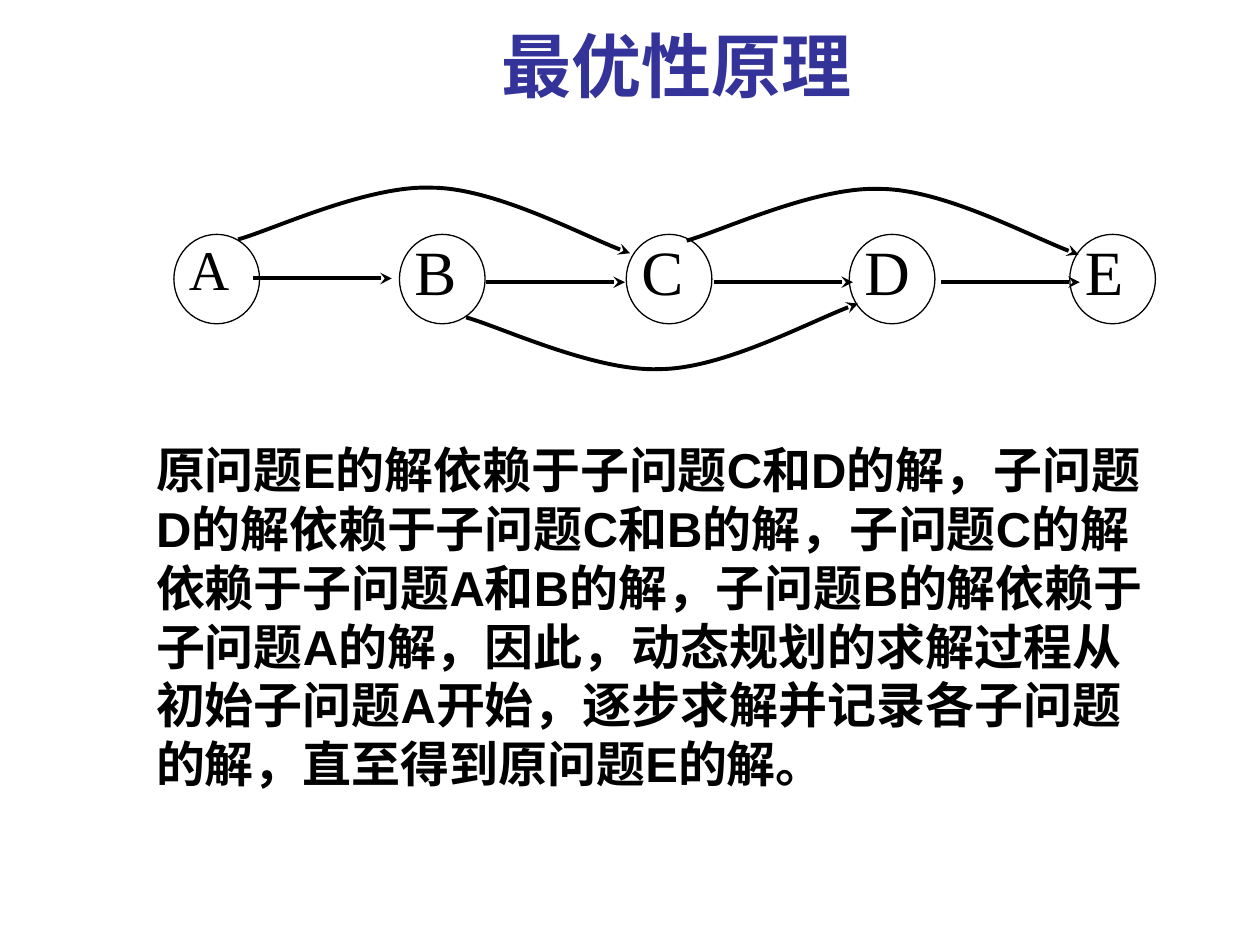
from dataclasses import dataclass

from lxml.etree import SubElement
from pptx import Presentation
from pptx.dml.color import RGBColor as RGB
from pptx.enum.shapes import MSO_CONNECTOR as CONN, MSO_SHAPE as SHAPE
from pptx.enum.text import MSO_ANCHOR as ANCHOR, MSO_AUTO_SIZE as AUTO, PP_ALIGN as ALIGN
from pptx.oxml.ns import qn
from pptx.util import Inches, Pt


@dataclass(frozen=True)
class Theme:
    ink: RGB = RGB(0, 0, 0)
    paper: RGB = RGB(0xFF, 0xFF, 0xFF)
    title_color: RGB = RGB(0x33, 0x33, 0x99)
    latin: str = "Arial"
    cjk: str = "Noto Sans CJK SC"
    node_font: str = "Times New Roman"
    title_size: int = 40
    body_size: int = 28
    node_size: int = 36
    outline: float = 0.75
    edge: float = 2.25


class SlideBuilder:
    def __init__(self, slide, theme):
        self.slide, self.theme = slide, theme

    def set_text(self, sp, text, size, font, color, bold=True, align=ALIGN.LEFT):
        tf = sp.text_frame
        tf.text = text
        tf.word_wrap = True
        tf.auto_size = AUTO.NONE
        tf.vertical_anchor = ANCHOR.TOP
        p = tf.paragraphs[0]
        p.alignment = align
        r = p.runs[0]
        r.font.size, r.font.name, r.font.bold = Pt(size), font, bold
        r.font.color.rgb = color
        SubElement(r._r.get_or_add_rPr(), qn("a:ea"), typeface=self.theme.cjk)
        return tf

    def title(self, text, x, y, w, h):
        t, sp = self.theme, self.slide.shapes.title
        sp.left, sp.top, sp.width, sp.height = map(Inches, (x, y, w, h))
        self.set_text(sp, text, t.title_size, t.cjk, t.title_color, align=ALIGN.CENTER)

    def body(self, text, x, y, w, h):
        t = self.theme
        sp = self.slide.shapes.add_textbox(*map(Inches, (x, y, w, h)))
        self.set_text(sp, text, t.body_size, t.latin, t.ink)

    def node(self, label, x, y, w, h, size):
        t = self.theme
        sp = self.slide.shapes.add_shape(SHAPE.OVAL, *map(Inches, (x, y, w, h)))
        sp.shadow.inherit = False
        sp.fill.solid()
        sp.fill.fore_color.rgb = t.paper
        sp.line.color.rgb = t.ink
        sp.line.width = Pt(t.outline)
        tf = self.set_text(sp, label, size, t.node_font, t.ink, False, ALIGN.JUSTIFY)
        tf.margin_left = Inches(0.02)
        tf.margin_top = tf.margin_right = tf.margin_bottom = 0
        tf.paragraphs[0].line_spacing = 0.8

    def arrow_line(self, sp):
        sp.line.color.rgb = self.theme.ink
        sp.line.width = Pt(self.theme.edge)
        ln = sp._element.spPr.find(qn("a:ln"))
        SubElement(ln, qn("a:tailEnd"), type="stealth")

    def arrow(self, x, y, length):
        sp = self.slide.shapes.add_connector(
            CONN.STRAIGHT, *map(Inches, (x, y, x + length, y)))
        self.arrow_line(sp)
        SubElement(sp._element.spPr, qn("a:effectLst"))

    def curved_arrow(self, points):
        start, *rest = [(Inches(x), Inches(y)) for x, y in points]
        builder = self.slide.shapes.build_freeform(*start)
        builder.add_line_segments(rest, close=False)
        sp = builder.convert_to_shape()
        sp.shadow.inherit = False
        sp.fill.background()
        self.arrow_line(sp)
        # Each three points become one Bezier segment
        outline = sp._element.find(".//" + qn("a:path"))
        segments = outline.findall(qn("a:lnTo"))
        for i in range(0, len(segments), 3):
            curve = SubElement(outline, qn("a:cubicBezTo"))
            for seg in segments[i:i + 3]:
                curve.append(seg[0])
                outline.remove(seg)


def main():
    prs = Presentation()
    prs.slide_width, prs.slide_height = Inches(10), Inches(7.5)
    theme = Theme()
    s = SlideBuilder(prs.slides.add_slide(prs.slide_layouts[5]), theme)

    s.title("最优性原理 ", 1.61, 0.13, 7.64, 0.77)

    # Subproblem nodes
    for label, x in zip("ABCDE", (1.38, 3.17, 4.97, 6.74, 8.49)):
        s.node(label, x, 1.86, 0.68, 0.71, 32 if label == "A" else theme.node_size)

    # Arrows between neighbours
    for x, y in ((2.01, 2.21), (3.86, 2.24), (5.67, 2.24), (7.47, 2.24)):
        s.arrow(x, y, 1.1)

    # Arrows that skip a node: A-C and C-E above, B-D mirrored below
    arc = ((0, 0), (0.26, -0.07), (1.02, -0.43), (1.53, -0.41),
           (2.02, -0.41), (2.79, 0), (3.11, 0.11))
    for x, y, flip in ((1.89, 1.9, 1), (5.45, 1.91, 1), (3.7, 2.52, -1)):
        s.curved_arrow([(x + dx, y + flip * dy) for dx, dy in arc])

    # Explanation
    s.body("原问题E的解依赖于子问题C和D的解，子问题D的解依赖于子问题C和B的解，"
           "子问题C的解依赖于子问题A和B的解，子问题B的解依赖于子问题A的解，"
           "因此，动态规划的求解过程从初始子问题A开始，逐步求解并记录各子问题的解，"
           "直至得到原问题E的解。", 1.14, 3.44, 8.19, 2.9)

    prs.save("out.pptx")


if __name__ == "__main__":
    main()
